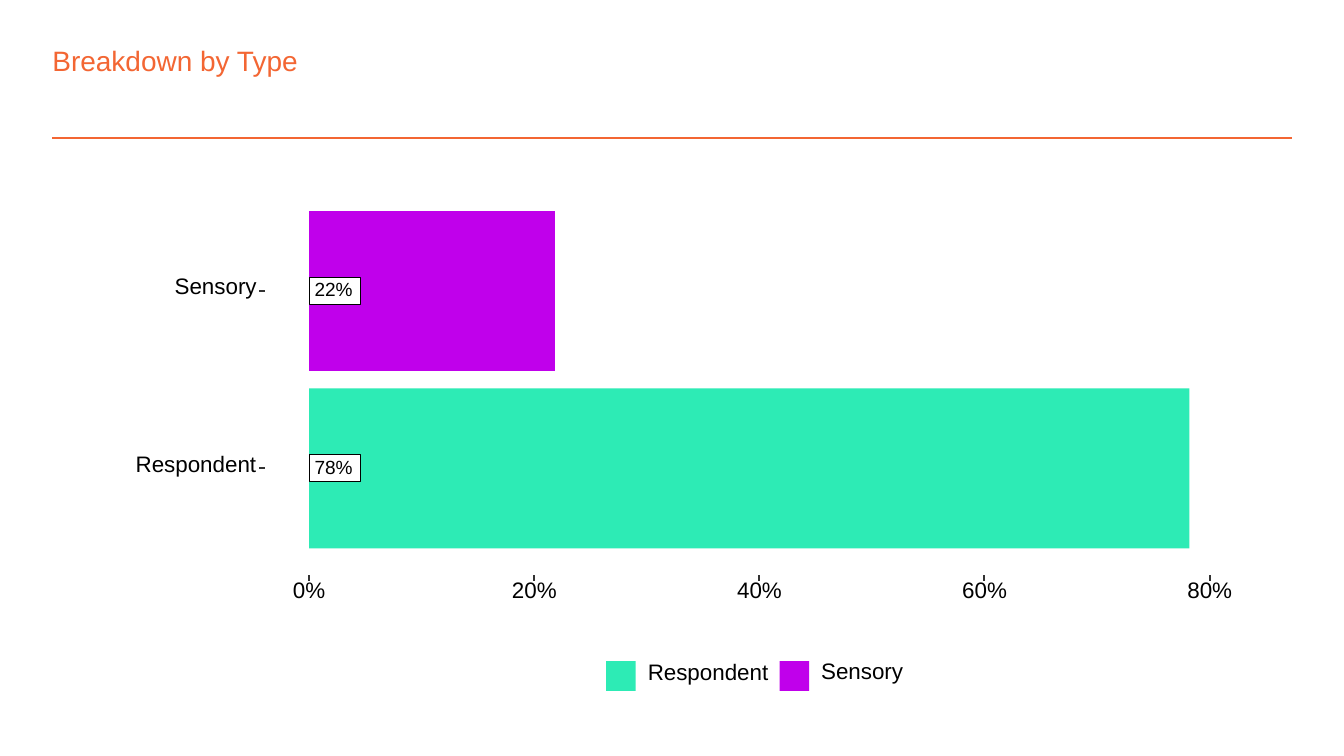
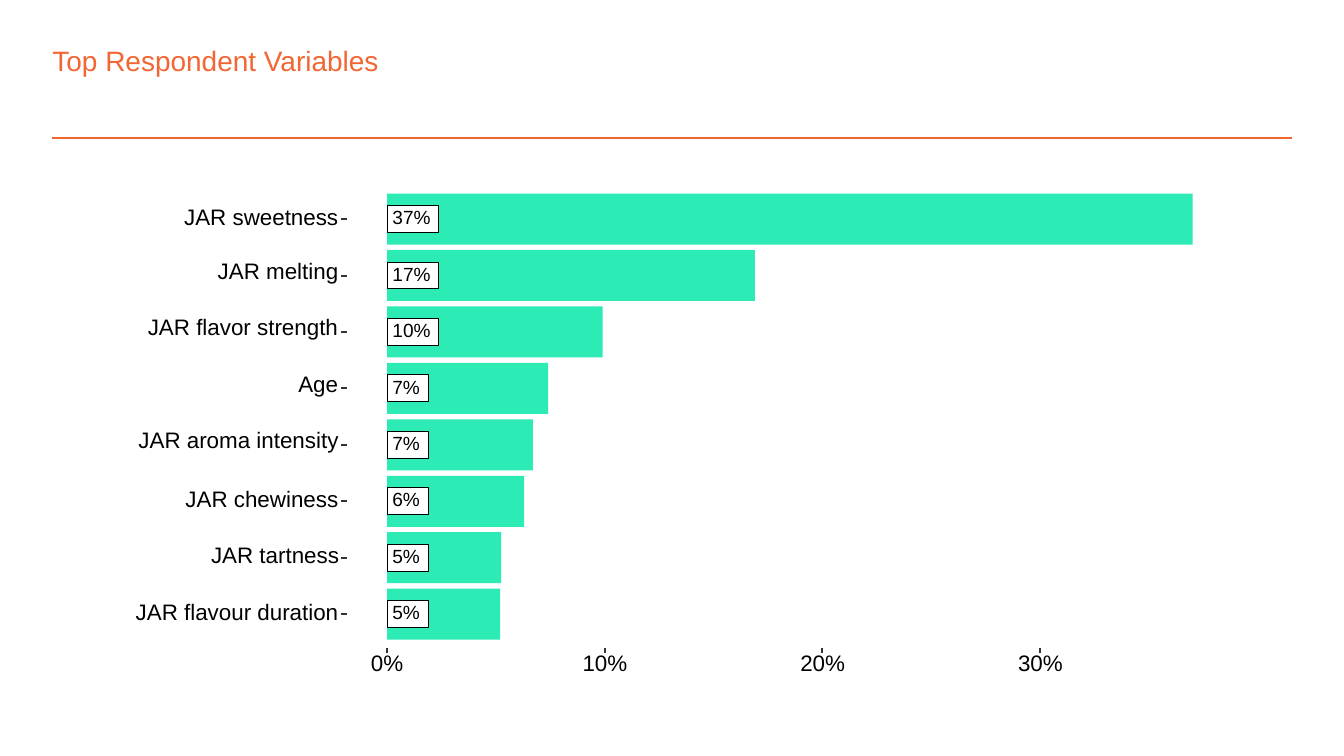
"""Build two slides of bar graphs with boxed percentages."""
from lxml.etree import SubElement
from pptx import Presentation
from pptx.dml.color import RGBColor
from pptx.enum.shapes import MSO_CONNECTOR, MSO_SHAPE
from pptx.enum.text import MSO_ANCHOR, MSO_AUTO_SIZE
from pptx.oxml.ns import qn
from pptx.util import Emu, Pt

ORANGE = RGBColor(0xF3, 0x66, 0x33)
MINT = RGBColor(0x2D, 0xEB, 0xB5)
PURPLE = RGBColor(0xC0, 0x00, 0xEB)
WHITE = RGBColor(0xFF, 0xFF, 0xFF)
BLACK = RGBColor(0x00, 0x00, 0x00)
GREY = RGBColor(0x33, 0x33, 0x33)

FONT = "Arial"
SCALE = 9144
THIN, THICK = 0.53, 1.07
SLACK = 3

SLIDES = [
    {
        "title": "Breakdown by Type",
        "rows": [
            ("Sensory", 21.85, PURPLE, 61, 16),
            ("Respondent", 78.2, MINT, 90, 15),
        ],
        "top": 157, "pitch": 132, "thick": 119,
        "zero": 230, "edge": 191, "axis": 428,
        "marks": [0, 20, 40, 60, 80], "unit": 8.375,
        "legend": True,
    },
    {
        "title": "Top Respondent Variables",
        "rows": [
            ("JAR sweetness", 37, MINT, 115, 12),
            ("JAR melting", 16.9, MINT, 90, 15),
            ("JAR flavor strength", 9.9, MINT, 142, 16),
            ("Age", 7.4, MINT, 30, 15),
            ("JAR aroma intensity", 6.7, MINT, 149, 15),
            ("JAR chewiness", 6.3, MINT, 114, 12),
            ("JAR tartness", 5.25, MINT, 95, 12),
            ("JAR flavour duration", 5.2, MINT, 151, 12),
        ],
        "top": 144, "pitch": 42, "thick": 38,
        "zero": 288, "edge": 252, "axis": 482,
        "marks": [0, 10, 20, 30], "unit": 16.2,
        "legend": False,
    },
]


def px(num):
    return Emu(round(num * SCALE))


def add_box(shapes, left, top, wide, high, fill, edge=None, weight=THICK):
    box = shapes.add_shape(MSO_SHAPE.RECTANGLE, px(left), px(top), px(wide), px(high))
    box.shadow.inherit = False
    box.fill.solid()
    box.fill.fore_color.rgb = fill
    if edge is None:
        box.line.fill.background()
    else:
        box.line.color.rgb = edge
        box.line.width = Pt(weight)


def add_line(shapes, left, top, right, low, color=GREY, weight=THICK):
    line = shapes.add_connector(
        MSO_CONNECTOR.STRAIGHT, px(left), px(top), px(right), px(low))
    line.line.color.rgb = color
    line.line.width = Pt(weight)
    SubElement(line._element.spPr, qn("a:effectLst"))


def add_text(shapes, text, left, top, wide, high, size=12, color=BLACK):
    frame = shapes.add_textbox(px(left), px(top), px(wide), px(high)).text_frame
    frame.margin_left = frame.margin_right = 0
    frame.margin_top = frame.margin_bottom = 0
    frame.word_wrap = False
    frame.text = text
    para = frame.paragraphs[0]
    font = para.runs[0].font
    font.name, font.size, font.color.rgb = FONT, Pt(size), color
    return frame


def add_label(shapes, text, left, top, wide, high, size=12):
    frame = add_text(shapes, text, left, top, wide + SLACK, high, size)
    frame.vertical_anchor = MSO_ANCHOR.MIDDLE
    frame.paragraphs[0].line_spacing = Pt(size)


def add_head(shapes, title):
    add_line(shapes, 39, 103, 961, 103, ORANGE, 1)
    frame = add_text(shapes, title, 39, 32, 829, 25, 15, ORANGE)
    frame.word_wrap = True
    frame.auto_size = MSO_AUTO_SIZE.SHAPE_TO_FIT_TEXT


def add_rows(shapes, data):
    zero, edge, thick = data["zero"], data["edge"], data["thick"]
    for i, (name, value, tint, wide, high) in enumerate(data["rows"]):
        top = data["top"] + i * data["pitch"]
        mid = top + thick / 2
        share = f"{value:.0f}%"
        tag = 38 if len(share) > 2 else 31
        add_box(shapes, zero, top, value * data["unit"], thick, tint)
        add_box(shapes, zero, mid - 10, tag, 20, WHITE, BLACK, THIN)
        add_label(shapes, share, zero + 4, mid - 5.5, tag - 10, 11, 10.2)
        add_label(shapes, name, edge - wide, mid + 5.5 - high, wide, high)
        add_line(shapes, edge + 2, mid, edge + 6, mid)


def add_axis(shapes, data):
    top = data["axis"]
    for mark in data["marks"]:
        mid = data["zero"] + mark * data["unit"]
        wide = 33 if mark else 24
        add_line(shapes, mid, top, mid, top + 4)
        add_label(shapes, f"{mark}%", mid - wide / 2, top + 6, wide, 13)


def add_legend(shapes, rows):
    add_box(shapes, 435, 483, 245, 39, WHITE, WHITE)
    left = 450
    for name, _, tint, wide, high in reversed(rows):
        add_box(shapes, left, 491, 24, 24, WHITE, WHITE)
        add_box(shapes, left + 1, 492, 22, 22, tint)
        add_label(shapes, name, left + 32, 509 - high, wide, high)
        left += wide + 39


def main():
    deck = Presentation()
    deck.slide_width, deck.slide_height = px(1000), px(562.5)
    for data in SLIDES:
        slide = deck.slides.add_slide(deck.slide_layouts[6])
        add_head(slide.shapes, data["title"])
        graph = slide.shapes.add_group_shape().shapes
        add_box(graph, 75, 130, 850, 400, WHITE, WHITE)
        add_rows(graph, data)
        add_axis(graph, data)
        if data["legend"]:
            add_legend(graph, data["rows"])
    deck.save("out.pptx")


if __name__ == "__main__":
    main()
